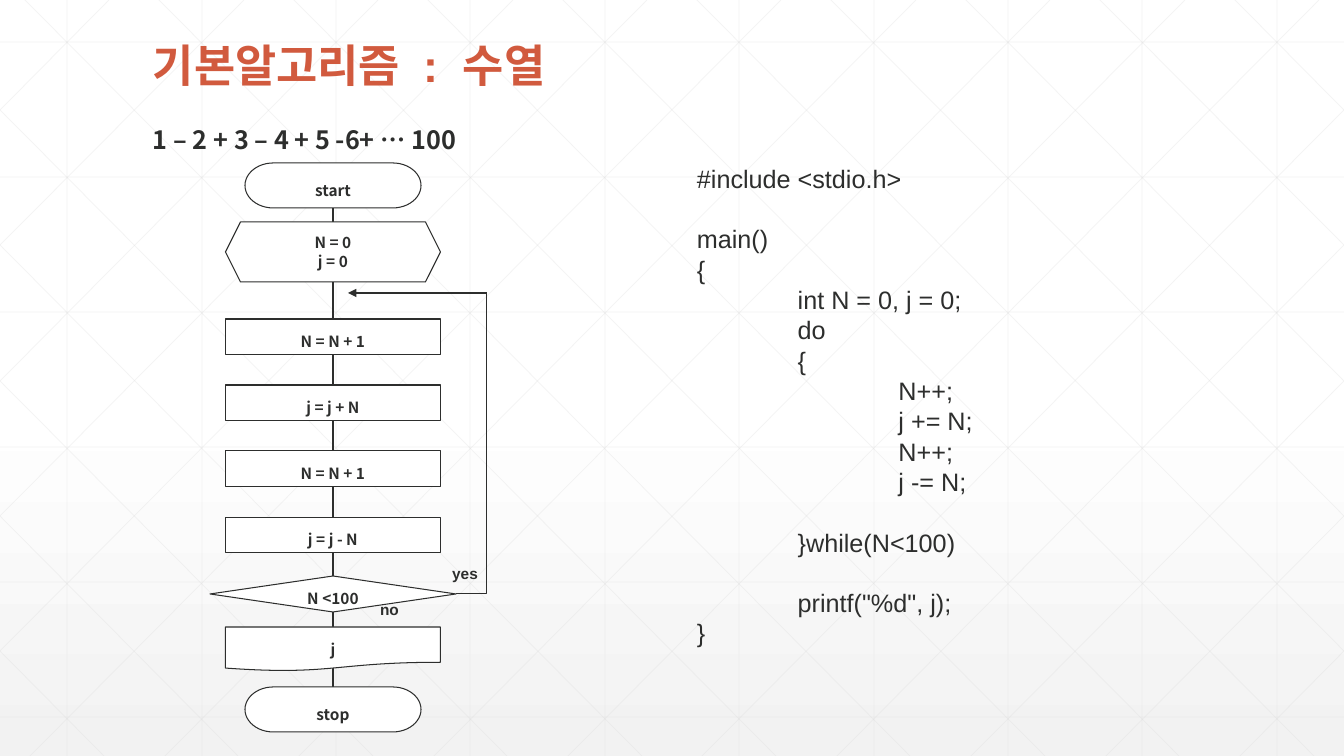
from dataclasses import dataclass

from pptx import Presentation
from pptx.dml.color import RGBColor
from pptx.enum.shapes import MSO_CONNECTOR as Link, MSO_SHAPE as Shape
from pptx.enum.text import MSO_ANCHOR as Anchor, PP_ALIGN as Align
from pptx.oxml.ns import qn
from pptx.util import Emu, Pt
from lxml.etree import SubElement

WIDTH, HEIGHT = 1344, 756
SCALE = 914400 / 100.8


@dataclass(frozen=True)
class Theme:
    ink: str = "2D2E2D"
    accent: str = "D15A3E"
    paper: str = "FFFFFF"
    shade: str = "F2F2F2"
    grid: str = "D9D9D9"
    latin: str = "Arial"
    korean: str = "Noto Sans CJK KR"
    title: int = 32
    body: int = 18
    label: int = 11
    code_pitch: float = 21.65
    line: float = 0.75
    grid_line: float = 0.5


THEME = Theme()
NODE_FORMAT = {"alignment": Align.CENTER, "line_spacing": 1.5}
CODE = [
    (0, 0, "#include <stdio.h>"),
    (0, 1, "main()"),
    (0, 0, "{"),
    (1, 0, "int N = 0, j = 0;"),
    (1, 0, "do"),
    (1, 0, "{"),
    (2, 0, "N++;"),
    (2, 0, "j += N;"),
    (2, 0, "N++;"),
    (2, 0, "j -= N;"),
    (1, 1, "}while(N<100)"),
    (1, 1, 'printf("%d", j);'),
    (0, 0, "}"),
]


def px(length):
    return Emu(round(length * SCALE))


def apply(target, values):
    for name, value in values.items():
        setattr(target, name, value)


def add_run(paragraph, text, size, font=THEME.korean, color=THEME.ink, bold=True):
    run = paragraph.add_run()
    run.text = text
    apply(run.font, {"name": font, "size": Pt(size), "bold": bold})
    run.font.color.rgb = RGBColor.from_string(color)
    SubElement(run.font._element, qn("a:ea")).set("typeface", THEME.korean)
    return run


def add_box(slide, left, top, width, height, wrap=True):
    box = slide.shapes.add_textbox(px(left), px(top), px(width), px(height))
    box.text_frame.word_wrap = wrap
    return box.text_frame


def add_line(slide, start, end, color=THEME.ink, width=THEME.line, kind=Link.STRAIGHT):
    line = slide.shapes.add_connector(kind, *map(px, (*start, *end)))
    line.line.color.rgb = RGBColor.from_string(color)
    line.line.width = Pt(width)
    SubElement(line._element.spPr, qn("a:effectLst"))
    return line


def add_grid_line(slide, start, end):
    line = add_line(slide, start, end, THEME.grid, THEME.grid_line)
    color = line._element.spPr.find(".//" + qn("a:srgbClr"))
    SubElement(color, qn("a:alpha")).set("val", "30000")


def add_background(slide):
    fill = slide.background.fill
    fill.gradient()
    fill.gradient_angle = 270
    for stop, position, color in zip(
        fill.gradient_stops, (0.53, 1), (THEME.paper, THEME.shade)
    ):
        stop.position = position
        stop.color.rgb = RGBColor.from_string(color)


def add_grid(slide):
    step, run = 134.4, 751
    for column in range(10):
        x = round(67.2 + step * column)
        add_grid_line(slide, (x, 0), (x, HEIGHT))
    for row in range(6):
        y = 42 + 135 * row
        add_grid_line(slide, (0, y), (WIDTH, y))
    for index in range(-5, 10):
        top_x = 25 + step * index
        ends = []
        for x in (max(0, top_x), min(WIDTH, top_x + run)):
            ends.append((round(x), round((x - top_x) * HEIGHT / run)))
        add_grid_line(slide, *ends)
        add_grid_line(slide, *[(WIDTH - x, y) for x, y in ends])


def add_node(slide, kind, top, width, height, lines, spacing=1.5):
    center = 333
    node = slide.shapes.add_shape(
        kind, px(center - width / 2), px(top), px(width), px(height)
    )
    node.shadow.inherit = False
    node.fill.solid()
    node.fill.fore_color.rgb = RGBColor.from_string(THEME.paper)
    node.line.color.rgb = RGBColor.from_string(THEME.ink)
    node.line.width = Pt(THEME.line)
    frame = node.text_frame
    margins = dict.fromkeys(
        ("margin_left", "margin_top", "margin_right", "margin_bottom"), 0
    )
    apply(frame, {**margins, "vertical_anchor": Anchor.MIDDLE, "word_wrap": True})
    for index, text in enumerate(lines):
        paragraph = frame.add_paragraph() if index else frame.paragraphs[0]
        apply(paragraph, {**NODE_FORMAT, "line_spacing": spacing})
        add_run(paragraph, text, THEME.label)


def add_branch_label(slide, text, left, top, width):
    paragraph = add_box(slide, left, top, width, 29, False).paragraphs[0]
    paragraph.alignment = Align.CENTER
    add_run(paragraph, text, THEME.label, THEME.latin)


def add_headings(slide):
    title = add_box(slide, 143, 39, 1058, 62).paragraphs[0]
    title.line_spacing = 0.9
    for text in ("기본알고리즘", " ", ":", " ", "수열"):
        run = add_run(title, text, THEME.title, THEME.latin, THEME.accent)
        if text == " ":
            run.font._element.set("spc", "890")
    series = add_box(slide, 143, 104, 1058, 56).paragraphs[0]
    series.line_spacing = 1.5
    add_run(series, "1 – 2 + 3 – 4 + 5 -6+ … 100", THEME.body)


def add_flowchart(slide):
    add_line(slide, (333, 208), (333, 687))
    for text, top in (("start", 163), ("stop", 687)):
        add_node(slide, Shape.FLOWCHART_TERMINATOR, top, 176, 45, [text])
    add_node(slide, Shape.HEXAGON, 222, 215, 60, ["N = 0", "j = 0"], 1.0)
    for index, text in enumerate(("N = N + 1", "j = j + N", "N = N + 1", "j = j - N")):
        add_node(slide, Shape.RECTANGLE, 319 + 66 * index, 215, 36, [text])
    add_node(slide, Shape.DIAMOND, 576, 246, 36, ["N <100"])
    add_node(slide, Shape.FLOWCHART_DOCUMENT, 627, 215, 44, ["j"])
    loop = add_line(slide, (456, 594), (487, 293), kind=Link.ELBOW)
    loop._element.spPr.find(qn("a:prstGeom")).set("prst", "bentConnector2")
    back = add_line(slide, (487, 293), (348, 293))
    SubElement(back.line._get_or_add_ln(), qn("a:tailEnd")).set("type", "triangle")
    add_branch_label(slide, "no", 370, 595, 39)
    add_branch_label(slide, "yes", 442, 559, 46)


def add_code(slide):
    frame = add_box(slide, 687, 158, 672, 499)
    for index, (level, gap, text) in enumerate(CODE):
        paragraph = frame.add_paragraph() if index else frame.paragraphs[0]
        apply(paragraph, {
            "line_spacing": Pt(THEME.code_pitch),
            "space_before": Pt(THEME.code_pitch * gap),
        })
        paragraph._p.get_or_add_pPr().set("marL", str(914400 * level))
        add_run(paragraph, text, THEME.body, THEME.latin, bold=False)


def main():
    presentation = Presentation()
    apply(presentation, {"slide_width": px(WIDTH), "slide_height": px(HEIGHT)})
    slide = presentation.slides.add_slide(presentation.slide_layouts[6])
    add_background(slide)
    add_grid(slide)
    add_headings(slide)
    add_flowchart(slide)
    add_code(slide)
    presentation.save("out.pptx")


main()
